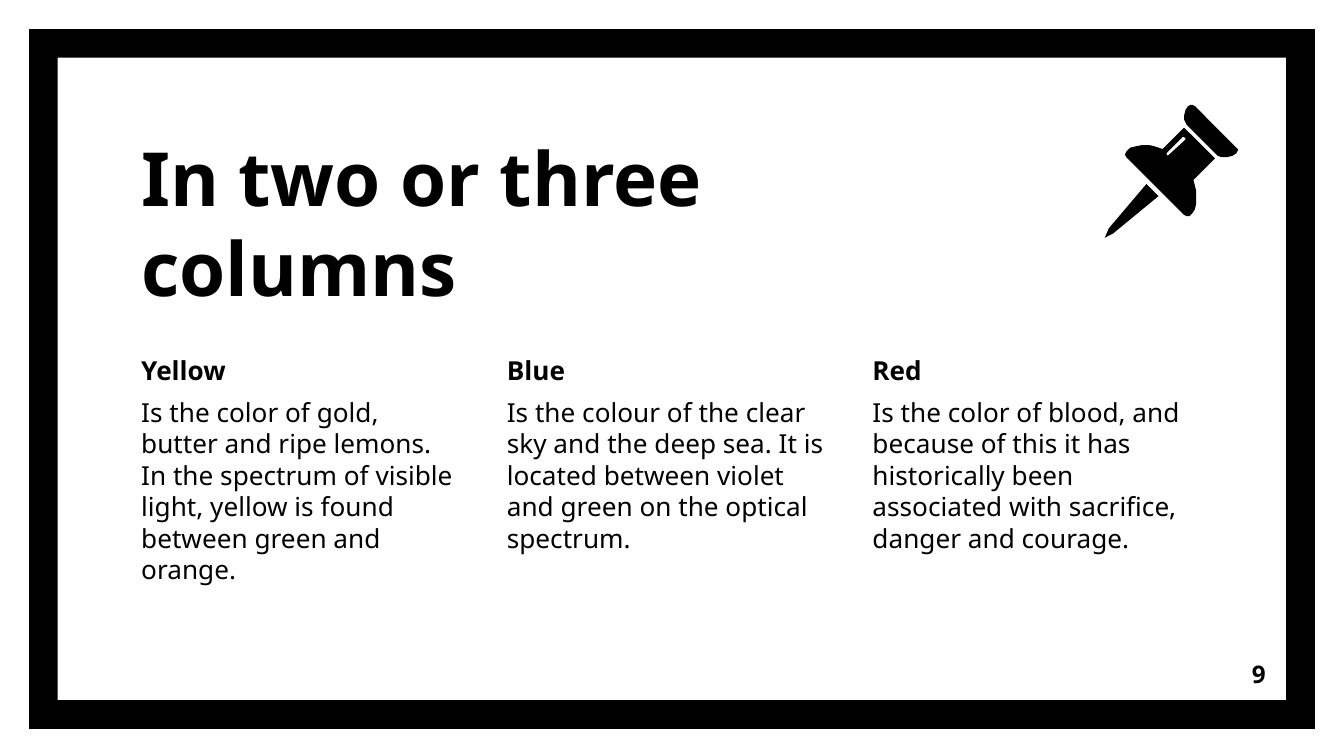
from pptx import Presentation
from pptx import util as u
from pptx.dml.color import RGBColor
from pptx.enum import shapes, text

BLACK = RGBColor(0, 0, 0)
WHITE = RGBColor(255, 255, 255)
FONT = "Noto Sans"
COLUMNS = [
    ("Yellow", "Is the color of gold, butter and ripe lemons. In the spectrum of "
               "visible light, yellow is found between green and orange."),
    ("Blue", "Is the colour of the clear sky and the deep sea. It is located "
             "between violet and green on the optical spectrum."),
    ("Red", "Is the color of blood, and because of this it has historically been "
            "associated with sacrifice, danger and courage."),
]
NEEDLE = [(31, 59), (3, 92), (0, 99), (6, 96), (40, 68)]
CAP = [(64, 0), (62, 1), (60, 4), (59, 8), (59, 11), (61, 15), (84, 38), (87, 39),
       (91, 39), (95, 38), (98, 36), (99, 34), (99, 33), (98, 32), (67, 1), (65, 0)]
BODY = [(59, 17), (43, 33), (40, 32), (37, 31), (33, 30), (28, 30), (23, 31),
        (19, 32), (16, 35), (15, 37), (16, 39), (59, 82), (61, 83), (63, 83),
        (65, 81), (67, 78), (68, 74), (68, 69), (68, 64), (67, 60), (66, 56), (82, 40)]
SHINE = [(59, 24), (60, 25), (60, 26), (48, 37), (47, 38), (46, 37), (46, 36), (58, 24)]


def paint(sp):
    """Give a shape a plain black fill."""
    sp.shadow.inherit = False
    sp.fill.solid()
    sp.fill.fore_color.rgb = BLACK
    sp.line.fill.background()


def add_frame(s, left, top, width, height):
    """Draw the thick border of the slide."""
    sp = s.shapes.add_shape(shapes.MSO_SHAPE.FRAME, left, top, width, height)
    sp.adjustments[0] = 0.041
    paint(sp)


def add_text(s, left, top, width, height, lines, size, anchor=text.MSO_ANCHOR.TOP,
             align=text.PP_ALIGN.LEFT, before=0):
    """Place (wording, bold) lines as paragraphs in a text box."""
    tf = s.shapes.add_textbox(left, top, width, height).text_frame
    tf.word_wrap = True
    tf.vertical_anchor = anchor
    tf.margin_left = tf.margin_right = tf.margin_top = tf.margin_bottom = u.Cm(0.26)
    for i, (wording, bold) in enumerate(lines):
        p = tf.add_paragraph() if i else tf.paragraphs[0]
        p.text = wording
        p.alignment = align
        p.space_before = u.Pt(before)
        p.font.name = FONT
        p.font.size = u.Pt(size)
        p.font.bold = bold
        p.font.color.rgb = BLACK


def add_columns(s, left, top, width, height, gap):
    """Set the headed columns side by side at equal gaps."""
    col = (width - gap * (len(COLUMNS) - 1)) // len(COLUMNS)
    for i, (heading, body) in enumerate(COLUMNS):
        add_text(s, left + i * (col + gap), top, col, height,
                 [(heading, True), (body, False)], 14, before=6)


def add_pin(s, left, top, size):
    """Draw the pushpin from outlines given in percent of its box."""
    for first, *holes in ([NEEDLE], [CAP], [BODY, SHINE]):
        fb = s.shapes.build_freeform(*first[0], scale=size / 100)
        fb.add_line_segments(first[1:])
        for hole in holes:
            fb.move_to(*hole[0])
            fb.add_line_segments(hole[1:])
        paint(fb.convert_to_shape(left, top))


def main():
    """Build the slide and save it."""
    prs = Presentation()
    prs.slide_width, prs.slide_height = u.Cm(25.4), u.Cm(14.29)
    s = prs.slides.add_slide(prs.slide_layouts[6])
    s.background.fill.solid()
    s.background.fill.fore_color.rgb = WHITE
    add_frame(s, u.Cm(0.55), u.Cm(0.55), u.Cm(24.3), u.Cm(13.23))
    add_text(s, u.Cm(2.41), u.Cm(2.36), u.Cm(14.15), u.Cm(3.78),
             [("In two or three columns", True)], 40, text.MSO_ANCHOR.BOTTOM)
    add_columns(s, u.Cm(2.41), u.Cm(6.43), u.Cm(20.4), u.Cm(5.66), u.Cm(0.33))
    add_pin(s, u.Cm(20.88), u.Cm(1.98), u.Cm(2.54))
    add_text(s, u.Cm(22.66), u.Cm(12.19), u.Cm(1.52), u.Cm(1.09), [("9", True)], 13,
             text.MSO_ANCHOR.MIDDLE, text.PP_ALIGN.RIGHT)
    prs.save("out.pptx")


if __name__ == "__main__":
    main()
